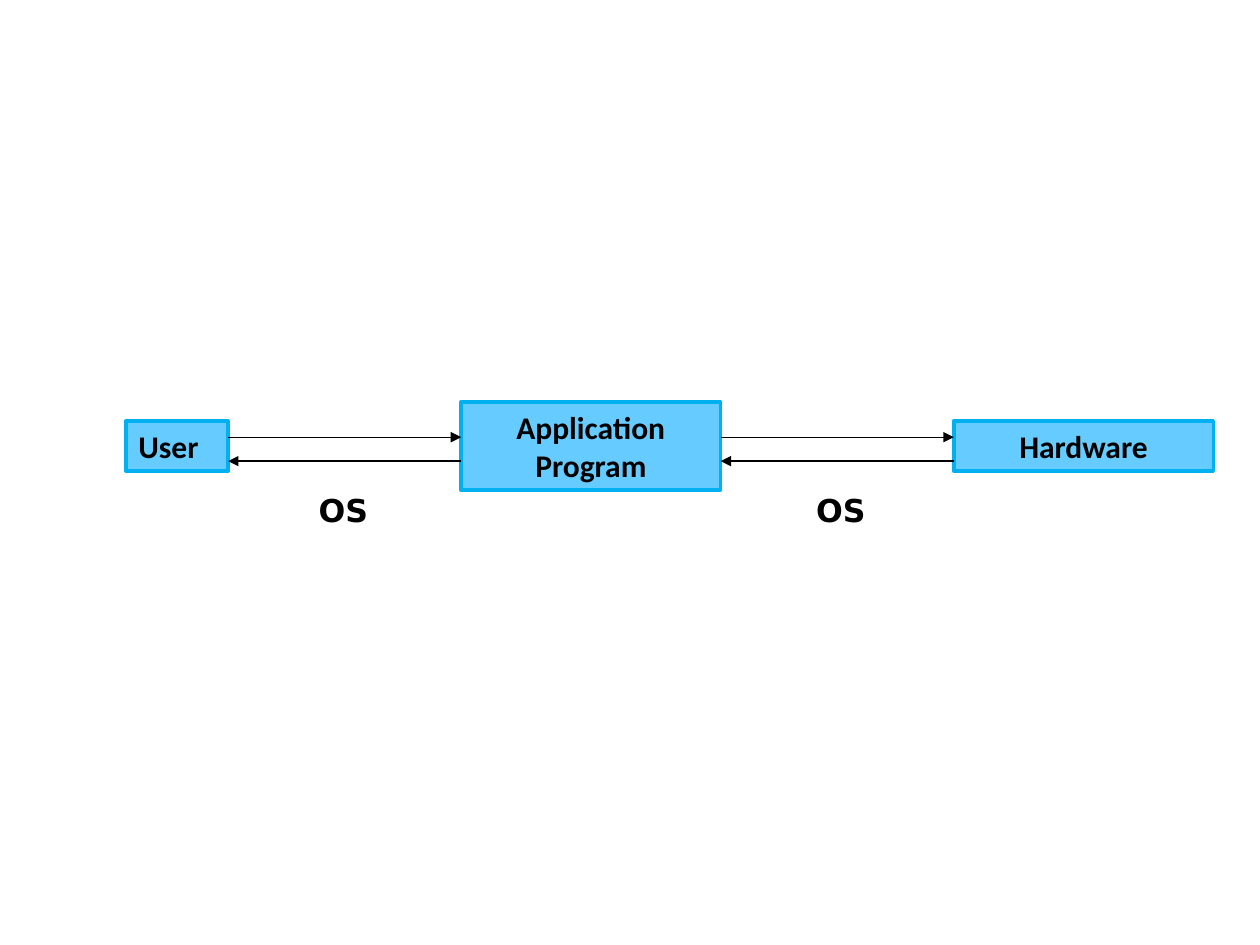
from dataclasses import dataclass

from lxml import etree
from pptx import Presentation
from pptx.dml.color import RGBColor
from pptx.enum.shapes import MSO_CONNECTOR, MSO_SHAPE
from pptx.enum.text import MSO_ANCHOR, MSO_AUTO_SIZE, PP_ALIGN
from pptx.oxml.ns import qn
from pptx.util import Inches, Pt

RECTANGLE = MSO_SHAPE.RECTANGLE
STRAIGHT = MSO_CONNECTOR.STRAIGHT
TOP = MSO_ANCHOR.TOP
GROW = MSO_AUTO_SIZE.SHAPE_TO_FIT_TEXT
LEFT, CENTER = PP_ALIGN.LEFT, PP_ALIGN.CENTER


@dataclass(frozen=True)
class Theme:
    box_fill: RGBColor = RGBColor(0x66, 0xCC, 0xFF)
    box_line: RGBColor = RGBColor(0x00, 0xB0, 0xF0)
    ink: RGBColor = RGBColor(0, 0, 0)
    box_font: str = "Calibri"
    label_font: str = "DejaVu Sans"
    text_size: int = 18
    box_line_width: float = 2
    arrow_width: float = 0.75


THEME = Theme()

# Box text, left, top, width, height, alignment
BOXES = [
    ("User", 1, 3.34, 0.81, 0.4, LEFT),
    ("Application\nProgram", 3.66, 3.19, 2.06, 0.7, CENTER),
    ("Hardware", 7.57, 3.34, 2.06, 0.4, CENTER),
]
REQUEST_Y, REPLY_Y = 3.47, 3.66
LABEL_LEFTS = (2.43, 6.38)
LABEL_TOP, LABEL_WIDTH, LABEL_HEIGHT = 3.85, 0.8, 0.4


def write_text(shape, text, *, font, alignment=LEFT):
    frame = shape.text_frame
    frame.text = text
    frame.word_wrap = True
    frame.auto_size = GROW
    frame.vertical_anchor = TOP
    for paragraph in frame.paragraphs:
        paragraph.alignment = alignment
        for run in paragraph.runs:
            run.font.name = font
            run.font.size = Pt(THEME.text_size)
            run.font.bold = True
            run.font.color.rgb = THEME.ink


def add_box(slide, text, left, top, width, height, alignment):
    shape = slide.shapes.add_shape(
        RECTANGLE, Inches(left), Inches(top), Inches(width), Inches(height))
    shape.shadow.inherit = False
    shape.fill.solid()
    shape.fill.fore_color.rgb = THEME.box_fill
    shape.line.color.rgb = THEME.box_line
    shape.line.width = Pt(THEME.box_line_width)
    write_text(shape, text, font=THEME.box_font, alignment=alignment)


def add_arrow(slide, start_x, end_x, y):
    connector = slide.shapes.add_connector(
        STRAIGHT, Inches(start_x), Inches(y), Inches(end_x), Inches(y))
    connector.line.color.rgb = THEME.ink
    connector.line.width = Pt(THEME.arrow_width)
    properties = connector._element.spPr
    line = properties.find(qn("a:ln"))
    etree.SubElement(line, qn("a:tailEnd"), type="triangle")
    etree.SubElement(properties, qn("a:effectLst"))


def add_label(slide, text, left):
    label = slide.shapes.add_textbox(
        Inches(left), Inches(LABEL_TOP), Inches(LABEL_WIDTH), Inches(LABEL_HEIGHT))
    write_text(label, text, font=THEME.label_font)


def main():
    presentation = Presentation()
    presentation.slide_width = Inches(10)
    presentation.slide_height = Inches(7.5)
    slide = presentation.slides.add_slide(presentation.slide_layouts[6])

    # Boxes
    for box in BOXES:
        add_box(slide, *box)

    # A request and a reply arrow between each pair of neighbours
    for (_, left, _, width, *_), (_, next_left, *_) in zip(BOXES, BOXES[1:]):
        add_arrow(slide, left + width, next_left, REQUEST_Y)
        add_arrow(slide, next_left, left + width, REPLY_Y)

    # Labels under the arrows
    for left in LABEL_LEFTS:
        add_label(slide, "OS", left)

    presentation.save("out.pptx")


if __name__ == "__main__":
    main()
